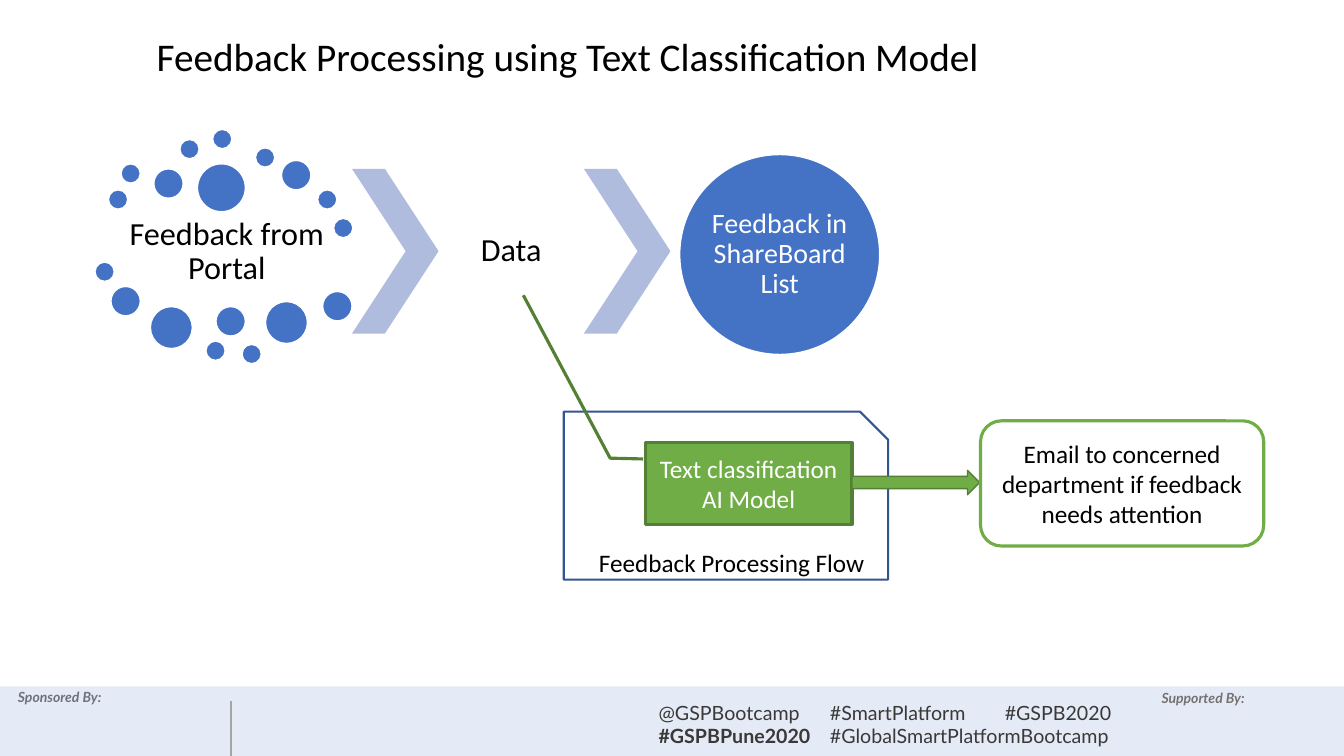
from lxml.etree import SubElement as SubEl
from pptx import Presentation
from pptx.dml.color import RGBColor
from pptx.enum.shapes import MSO_CONNECTOR as LINE, MSO_SHAPE as SHAPE
from pptx.enum.text import MSO_ANCHOR as ANCHOR, MSO_AUTO_SIZE as FIT, PP_ALIGN as ALIGN
from pptx.oxml.ns import qn
from pptx.util import Inches, Pt

BLUE = RGBColor(0x44, 0x72, 0xC4)
NAVY = RGBColor(0x32, 0x54, 0x91)
PALE = RGBColor(0xB0, 0xBC, 0xDE)
GREEN = RGBColor(0x70, 0xAD, 0x47)
MOSS = RGBColor(0x53, 0x80, 0x35)
GRAY = RGBColor(0x76, 0x71, 0x71)
DARK = RGBColor(0x3B, 0x38, 0x38)
RULE = RGBColor(0xA5, 0xA5, 0xA5)
WHITE = RGBColor(0xFF, 0xFF, 0xFF)
BLACK = RGBColor(0x00, 0x00, 0x00)

# The slide is a grid of 160 columns by 90 rows of square cells
WIDTH, HEIGHT = Inches(13.33), Inches(7.5)
CELL = HEIGHT / 90


def at(box, *cells):
    """Turn cells counted from the box corner into slide lengths."""
    shift = (box[0], box[1], 0, 0)
    return [round((c + s) * CELL) for c, s in zip(cells, shift)]


def write(frame, text, size=18, font="Calibri", color=BLACK, bold=False,
          italic=False, align=ALIGN.CENTER, anchor=ANCHOR.MIDDLE,
          space=None, inset=None, tab=None):
    """Fill a text frame, one paragraph per line of text."""
    frame.word_wrap = True
    frame.auto_size = FIT.NONE
    frame.vertical_anchor = anchor
    if inset is not None:
        frame.margin_left = frame.margin_right = Inches(inset)
        frame.margin_top = frame.margin_bottom = Inches(inset)
    frame.text = text
    for para in frame.paragraphs:
        para.alignment = align
        if space:
            para.line_spacing = space
        if tab:
            stops = SubEl(para._p.get_or_add_pPr(), qn("a:tabLst"))
            SubEl(stops, qn("a:tab"), pos=str(round(tab * CELL)), algn="l")
        for run in para.runs:
            face = run.font
            face.name, face.size = font, Pt(size)
            face.bold, face.italic = bold, italic
            face.color.rgb = color


def label(slide, box, cells, text, **style):
    area = slide.shapes.add_textbox(*at(box, *cells))
    write(area.text_frame, text, **style)
    return area.text_frame


def draw(slide, box, kind, cells, fill, line=None, weight=1, adjust=()):
    part = slide.shapes.add_shape(kind, *at(box, *cells))
    part.shadow.inherit = False
    part.fill.solid()
    part.fill.fore_color.rgb = fill
    if line is None:
        part.line.fill.background()
    else:
        part.line.color.rgb = line
        part.line.width = Pt(weight)
    for i, value in enumerate(adjust):
        part.adjustments[i] = value
    return part


def footer(slide, box):
    mark = dict(size=10, font="Lato", color=GRAY, bold=True, italic=True,
                anchor=ANCHOR.TOP)
    tag = dict(size=14, font="Lato", color=DARK, align=ALIGN.LEFT,
               anchor=ANCHOR.TOP)
    label(slide, box, (0, -0.3, 14.2, 3.2), "Sponsored By:", **mark)
    band = draw(slide, box, SHAPE.RECTANGLE, (0, 0, box[2], box[3]), BLUE)
    tint = band.fill._xPr.find(qn("a:solidFill"))[0]
    SubEl(tint, qn("a:alpha"), val="14000")
    label(slide, box, (136, -0.2, 14.4, 3.2), "Supported By:", **mark)
    tags = label(slide, box, (77.2, 1.1, 21.6, 6.8),
                 "@GSPBootcamp\n#GSPBPune2020", **tag)
    tags.paragraphs[1].runs[0].font.bold = True
    label(slide, box, (97.6, 1.1, 39.2, 6.8),
          "#SmartPlatform\t#GSPB2020\n#GlobalSmartPlatformBootcamp",
          tab=20.8, **tag)
    ends = at(box, 27.5, 1.7) + at(box, 27.5, box[3])
    rule = slide.shapes.add_connector(LINE.STRAIGHT, *ends)
    rule.line.color.rgb = RULE
    rule.line.width = Pt(1.5)
    SubEl(rule._element.spPr, qn("a:effectLst"))


def title(slide, box):
    head = slide.shapes.title
    head.left, head.top, head.width, head.height = at(box, 0, 0, *box[2:])
    write(head.text_frame, "Feedback Processing using Text Classification Model",
          size=28, anchor=ANCHOR.TOP)


def cloud(slide, box):
    """Ring of dots around the portal label; dots are grouped by diameter."""
    dots = {
        2.3: [(1.6, 7.2), (3.1, 4.1), (10.1, 1.2), (14, 0), (19.1, 2.2),
              (26.5, 7.2), (28.4, 10.6), (0, 15.8), (13.2, 25.2), (17.5, 25.6)],
        3.5: [(7, 4.7), (22.2, 3.7), (1.9, 18.7), (14.4, 21.1), (27.1, 19.3)],
        5: [(6.6, 21.1), (20.3, 20.5)],
        5.7: [(12.2, 4.1)],
    }
    label(slide, box, (1.7, 10, 28, 9.2), "Feedback from Portal",
          size=23, space=0.9, inset=0.03)
    for size, spots in dots.items():
        for x, y in spots:
            draw(slide, box, SHAPE.OVAL, (x, y, size, size), BLUE, WHITE)


def chain(slide, box):
    """Chevrons leading through the data store to the list."""
    for x in (0, 27.6):
        draw(slide, box, SHAPE.CHEVRON, (x, 1.7, 10.3, 19.6), PALE, adjust=[0.62])
    label(slide, box, (10.3, 3.6, 17.3, 15.8), "Data",
          size=23, space=0.9, inset=0.03)
    side = box[3]
    disc = draw(slide, box, SHAPE.OVAL, (box[2] - side, 0, side, side), BLUE, WHITE)
    write(disc.text_frame, "Feedback in ShareBoard List",
          size=20, color=WHITE, space=0.9, inset=0)


def flow(slide, box):
    """Processing frame with the model, and the email that follows."""
    draw(slide, box, SHAPE.SNIP_1_RECTANGLE, (0, 0, 38.6, box[3]), WHITE, NAVY, 1.5)
    model = draw(slide, box, SHAPE.LINE_CALLOUT_2, (9.7, 3.7, 24.6, 9.7),
                 GREEN, MOSS, 2.25, [0.2, -0.01, 0.19, -0.17, -1.81, -0.59])
    write(model.text_frame, "Text classification AI Model", color=WHITE)
    draw(slide, box, SHAPE.RIGHT_ARROW, (34.3, 7, 15.2, 2.9), GREEN, MOSS)
    mail = draw(slide, box, SHAPE.ROUNDED_RECTANGLE, (49.6, 1.1, 33.7, 14.9),
                WHITE, GREEN, 2.25)
    write(mail.text_frame, "Email to concerned department if feedback needs attention")
    label(slide, box, (3, 15.6, 35.6, 4.8), "Feedback Processing Flow",
          align=ALIGN.LEFT, anchor=ANCHOR.TOP)


def main():
    deck = Presentation()
    deck.slide_width, deck.slide_height = WIDTH, HEIGHT
    slide = deck.slides.add_slide(deck.slide_layouts[5])
    # Each region gets its box: column, row, columns, rows
    footer(slide, (0, 81.7, 160, 8.3))
    title(slide, (6.7, 3.2, 121.7, 6.8))
    cloud(slide, (11.3, 15.4, 30.7, 27.9))
    chain(slide, (41.9, 18.4, 62.8, 23.8))
    flow(slide, (67.1, 49, 83.3, 20))
    deck.save("out.pptx")


if __name__ == "__main__":
    main()
